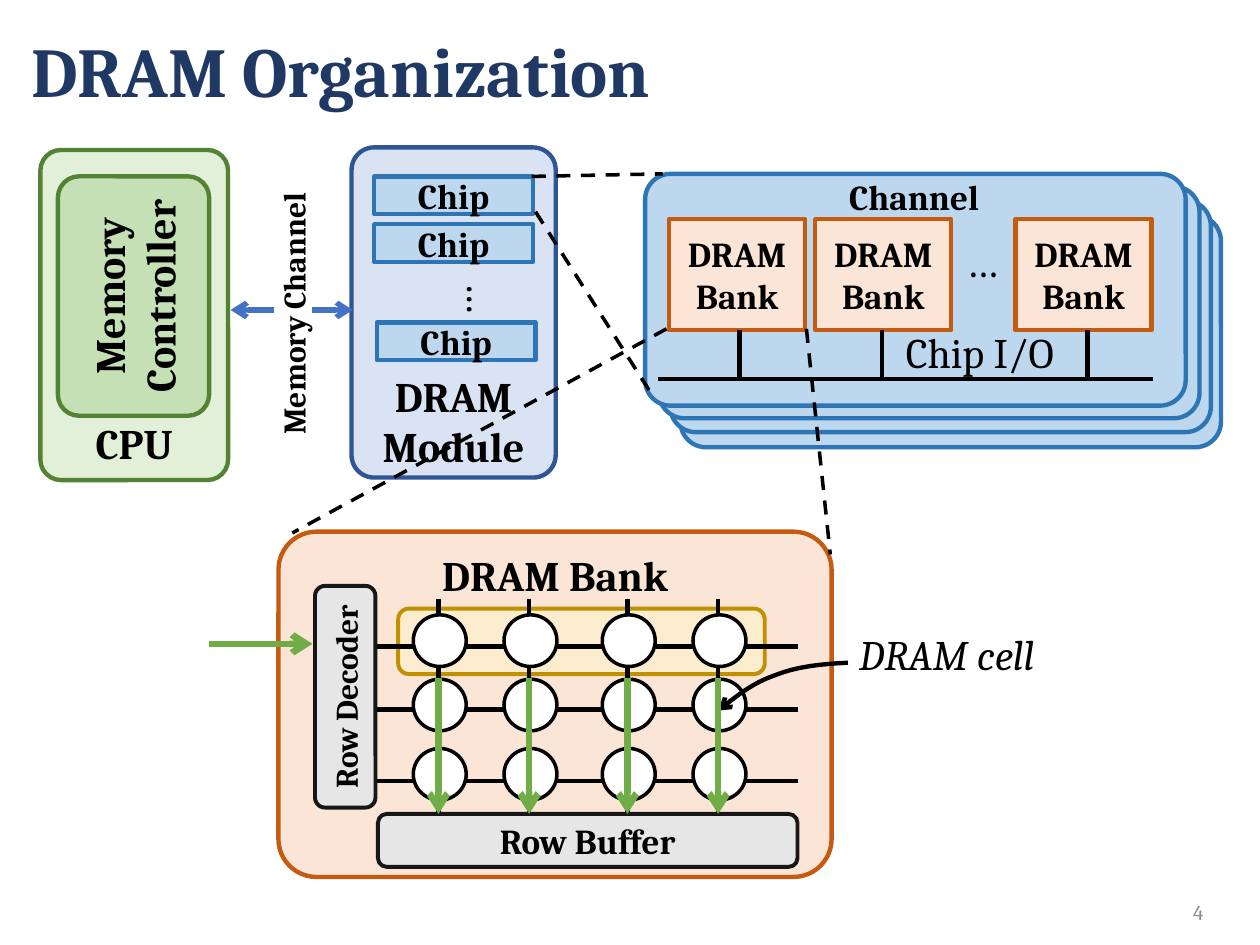
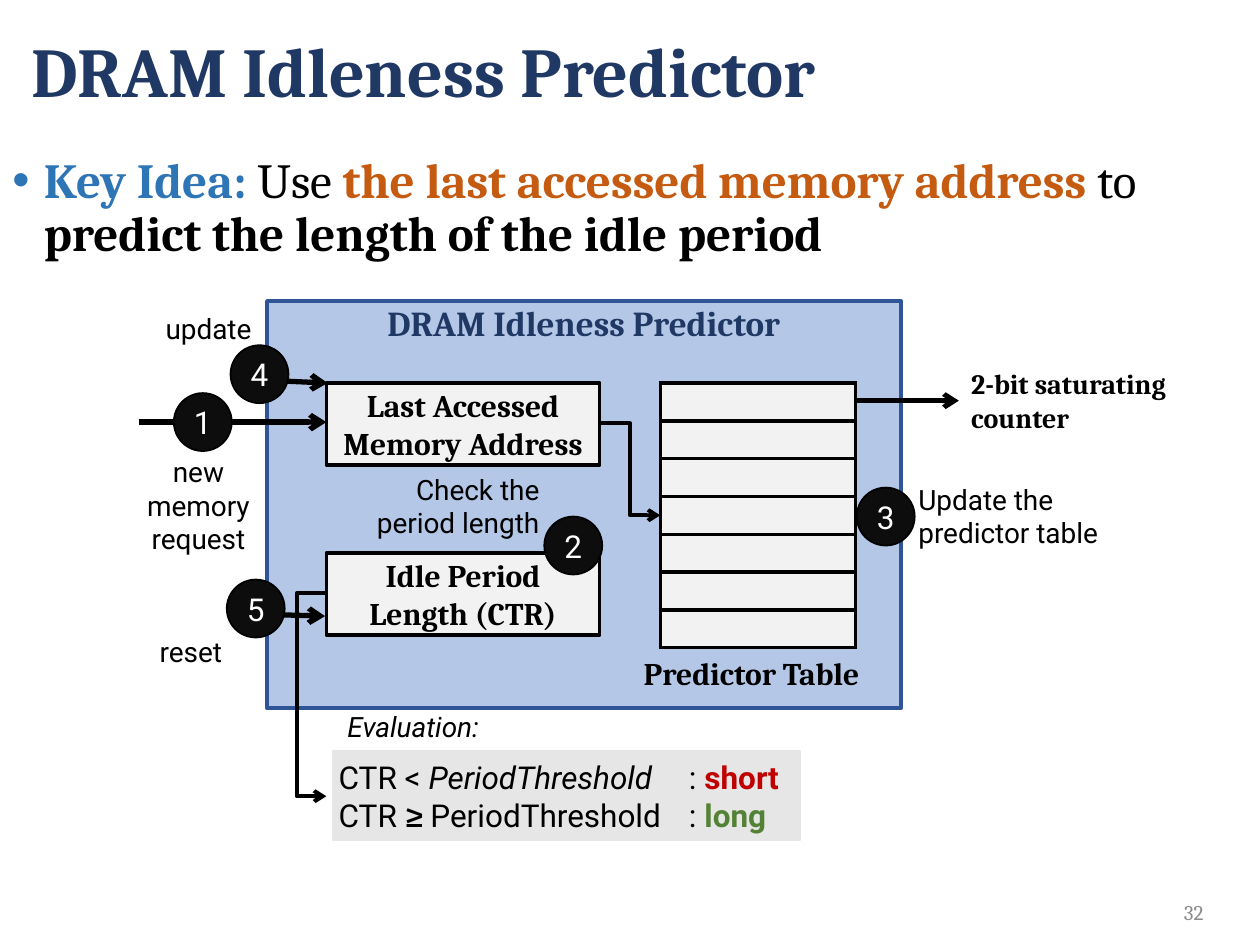
"""Build two slides on how DRAM is organized and how its idleness is predicted."""
from lxml.etree import SubElement
from pptx import Presentation
from pptx.dml.color import RGBColor
from pptx.enum.dml import MSO_LINE
from pptx.enum.shapes import MSO_CONNECTOR, MSO_SHAPE
from pptx.enum.text import MSO_ANCHOR, PP_ALIGN
from pptx.oxml.ns import qn
from pptx.util import Inches, Pt


class Theme:
    serif, sans = "Cambria", "Roboto"
    black, white, navy, gray = "000000", "FFFFFF", "203864", "8C8C8C"
    mint, leaf, green, arrow = "E2F0D9", "C5E0B4", "548235", "70AD47"
    pale, sky, mid, cobalt = "DAE3F3", "BDD7EE", "2E75B6", "2F5597"
    link, peach, rust, cream = "4472C4", "FBE5D6", "C55A11", "FFF2CC"
    gold, ash, coal, steel = "BF9000", "E7E6E6", "181717", "B4C7E7"
    cell, dot, red = "F2F2F2", "0D0D0D", "C00000"
    title, lead, big, mid_size, text, note, foot = 40, 28, 24, 20, 18, 16, 12


RECT, ROUND, OVAL = MSO_SHAPE.RECTANGLE, MSO_SHAPE.ROUNDED_RECTANGLE, MSO_SHAPE.OVAL
TOP, MID, LOW = MSO_ANCHOR.TOP, MSO_ANCHOR.MIDDLE, MSO_ANCHOR.BOTTOM
LEFT, MIDST, RIGHT = PP_ALIGN.LEFT, PP_ALIGN.CENTER, PP_ALIGN.RIGHT


def put(page, kind, at, words="", fill=None, edge=None, width=2.5, anchor=TOP,
        align=MIDST, turn=None, pad=(0.1, 0.05, 0.1, 0.05), round=None, **font):
    box = [Inches(v) for v in at]
    shape = page.shapes.add_shape(kind, *box) if kind else page.shapes.add_textbox(*box)
    shape.shadow.inherit = False
    if round is not None:
        shape.adjustments[0] = round
    for part, hue in ((shape.fill, fill), (shape.line.fill, edge)):
        if hue:
            part.solid()
            part.fore_color.rgb = RGBColor.from_string(hue)
        else:
            part.background()
    if edge:
        shape.line.width = Pt(width)
    frame = shape.text_frame
    sides = ("margin_left", "margin_top", "margin_right", "margin_bottom")
    form = {"word_wrap": True, "vertical_anchor": anchor, **dict(zip(sides, map(Inches, pad)))}
    for key, val in form.items():
        setattr(frame, key, val)
    if turn:
        frame._txBody.bodyPr.set("vert", turn)
    base = {"name": Theme.serif, "size": Theme.text, "bold": False, "color": Theme.black, **font}
    lines = [[(t, {})] for t in words.split("\n")] if isinstance(words, str) else words
    for n, line in enumerate(lines):
        para = frame.add_paragraph() if n else frame.paragraphs[0]
        para.alignment = align
        for text, extra in line:
            if not text:
                continue
            run = para.add_run()
            run.text = text
            for key, val in {**base, **extra}.items():
                if key == "color":
                    run.font.color.rgb = RGBColor.from_string(val)
                else:
                    setattr(run.font, key, Pt(val) if key == "size" else val)
    return shape


def join(page, spots, hue=Theme.black, width=2.5, dash=None, tips=(), bend=None):
    spots = [(Inches(x), Inches(y)) for x, y in spots]
    if len(spots) > 2:
        pen = page.shapes.build_freeform(*spots[0])
        pen.add_line_segments(spots[1:], close=False)
        wire = pen.convert_to_shape()
        wire.fill.background()
        wire.shadow.inherit = False
    else:
        kind = MSO_CONNECTOR.ELBOW if bend else MSO_CONNECTOR.STRAIGHT
        wire = page.shapes.add_connector(kind, *spots[0], *spots[1])
        props = wire._element.spPr
        if bend:
            geom = props.find(qn("a:prstGeom"))
            guides = geom.find(qn("a:avLst"))
            if guides is None:
                guides = SubElement(geom, qn("a:avLst"))
            SubElement(guides, qn("a:gd"), name="adj1", fmla=f"val {int(bend * 100000)}")
    look = {"width": Pt(width), "dash_style": dash}
    wire.line.color.rgb = RGBColor.from_string(hue)
    for key, val in look.items():
        setattr(wire.line, key, val)
    for tip in tips:
        SubElement(wire.line._get_or_add_ln(), qn(f"a:{tip}End"), type="arrow")
    if len(spots) == 2:
        SubElement(props, qn("a:effectLst"))


deck = Presentation()
deck.slide_width, deck.slide_height = Inches(10), Inches(7.5)
pages = []
for name, count in (("DRAM Organization", "4"), ("DRAM Idleness Predictor", "32")):
    page = deck.slides.add_slide(deck.slide_layouts[6])
    pages.append(page)
    if count == "32":
        put(page, RECT, (2.64, 5.96, 3.71, 0.71), fill=Theme.ash, edge=Theme.ash, width=1)
    head = put(page, None, (0.15, 0, 9.73, 1.19), name, anchor=MID, align=LEFT,
               size=Theme.title, color=Theme.navy, bold=True)
    head.text_frame.paragraphs[0].line_spacing = 0.9
    put(page, None, (9.18, 7.13, 0.47, 0.22), count, anchor=MID, align=RIGHT,
        size=Theme.foot, color=Theme.gray)
plan, guess = pages

large = {"size": Theme.big, "bold": True}
label = {"size": Theme.mid_size, "bold": True}
small = {"size": Theme.text, "bold": True}
chip = {"fill": Theme.sky, "edge": Theme.mid}
bank = {"fill": Theme.peach, "edge": Theme.rust}
tray = {"fill": Theme.ash, "edge": Theme.coal, "width": 2.25, "anchor": MID}

put(plan, ROUND, (0.32, 1.19, 1.49, 2.62), "CPU", Theme.mint, Theme.green,
    anchor=LOW, round=0.11, **large)
put(plan, ROUND, (0.46, 1.4, 1.2, 1.9), "Memory Controller", Theme.leaf, Theme.green,
    anchor=MID, turn="vert270", round=0.14, **large)
put(plan, ROUND, (2.79, 1.17, 1.62, 2.62), "DRAM\nModule", Theme.pale, Theme.cobalt,
    anchor=LOW, pad=(0.12, 0, 0.12, 0), round=0.11, **large)
put(plan, None, (3.48, 2.08, 0.61, 0.57), "…", turn="vert", size=Theme.big)
join(plan, [(1.83, 2.46), (2.8, 2.46)], Theme.link, 3, tips=("head", "tail"))
lane = put(plan, RECT, (1.18, 2.34, 2.29, 0.3), "Memory Channel", Theme.white,
           pad=(0.1, 0, 0.1, 0), **small)
lane.rotation = 270
for x, y in ((2.97, 1.4), (2.97, 1.78), (2.99, 2.56)):
    put(plan, RECT, (x, y, 1.26, 0.3), "Chip", anchor=MID, **chip, **label)

for x, y in ((5.4, 1.71), (5.32, 1.59), (5.23, 1.48), (5.12, 1.38)):
    put(plan, ROUND, (x, y, 4.29, 1.84), round=0.11, **chip)
for x in (5.31, 6.47, 8.06):
    put(plan, RECT, (x, 1.74, 1.08, 0.88), "DRAM Bank", anchor=MID, **bank, **label)
put(plan, None, (7.49, 1.82, 0.61, 0.5), "…", size=Theme.big)
join(plan, [(5.22, 3.01), (9.15, 3.01)])
for x in (5.87, 7, 8.63):
    join(plan, [(x, 2.62), (x, 3.01)])
put(plan, None, (6.11, 1.39, 2.29, 0.34), "Channel", pad=(0.1, 0, 0.1, 0), **label)

put(plan, ROUND, (2.21, 4.22, 4.39, 2.74), "DRAM Bank", round=0.11, **bank, **large)
row = put(plan, ROUND, (3.16, 4.83, 2.91, 0.52), fill=Theme.cream, edge=Theme.gold, width=2.25)
tint = row._element.spPr.find(qn("a:solidFill"))[0]
SubElement(tint, qn("a:alpha"), val="65000")
cols = (3.48, 4.2, 4.98, 5.7)
for y in (5.13, 5.63, 6.2):
    join(plan, [(2.91, y), (6.33, y)])
for x in cols:
    join(plan, [(x, 4.75), (x, 6.48)])
for y in (4.88, 5.39, 5.94):
    for x in cols:
        put(plan, OVAL, (x - 0.2, y, 0.42, 0.41), fill=Theme.white, edge=Theme.black, width=2)
put(plan, ROUND, (2.5, 4.65, 0.48, 1.76), "Row Decoder", turn="vert270", **tray, **small)
put(plan, ROUND, (3, 6.46, 3.33, 0.42), "Row Buffer", **tray, **label)
for ends in ([(4.22, 1.4), (5.26, 1.38)], [(4.25, 1.68), (5.16, 3.11)],
             [(5.29, 2.61), (2.32, 4.23)], [(6.4, 2.61), (6.59, 4.4)]):
    join(plan, ends, width=2, dash=MSO_LINE.DASH)

put(plan, None, (6.72, 4.94, 2.31, 0.5), "DRAM cell", align=LEFT, size=Theme.big, italic=True)
curve = [(5.7, 5.64)]
for a, b, c, d in (((5.7, 5.64), (5.84, 5.53), (5.97, 5.42), (6.15, 5.36)),
                   ((6.15, 5.36), (6.32, 5.29), (6.52, 5.27), (6.73, 5.26))):
    for step in range(1, 9):
        t = step / 8
        mix = ((1 - t) ** 3, 3 * t * (1 - t) ** 2, 3 * t * t * (1 - t), t ** 3)
        curve.append(tuple(sum(m * p[i] for m, p in zip(mix, (a, b, c, d))) for i in (0, 1)))
join(plan, curve, tips=("head",))
put(plan, None, (7.09, 2.54, 1.49, 0.5), "Chip I/O", align=LEFT, size=Theme.big)
for ends in [[(1.66, 5.11), (2.48, 5.11)]] + [[(x, 5.38), (x, 6.46)] for x in cols]:
    join(plan, ends, Theme.arrow, 3.75, tips=("tail",))

put(guess, RECT, (2.12, 2.39, 5.03, 3.23), "DRAM Idleness Predictor", Theme.steel, Theme.cobalt,
    2.25, pad=(0.1, 0, 0.1, 0.05), color=Theme.navy, **label)
put(guess, None, (5.01, 5.14, 1.98, 0.4), "Predictor Table", align=LEFT, **small)
put(guess, None, (7.61, 2.86, 1.92, 0.64), "2-bit saturating counter", align=LEFT,
    size=Theme.note, bold=True)
for y, name in ((3.04, "Last Accessed Memory Address"), (4.39, "Idle Period Length (CTR)")):
    put(guess, RECT, (2.59, y, 2.17, 0.65), name, Theme.cell, Theme.black, 2, MID, **small)

for ends, width in (([(6.68, 3.18), (7.61, 3.18)], 2.75), ([(1.1, 3.35), (2.59, 3.35)], 3),
                    ([(1.93, 3.01), (2.6, 3.04)], 3), ([(1.9, 4.87), (2.58, 4.89)], 3)):
    join(guess, ends, width=width, tips=("tail",))
join(guess, [(2.6, 4.71), (2.59, 6.32)], width=2.25, tips=("tail",), bend=25)
join(guess, [(4.76, 3.36), (5.24, 4.09)], width=2.25, tips=("tail",), bend=0.5)

grid = guess.shapes.add_table(7, 1, *map(Inches, (5.24, 3.04, 1.55, 2.1))).table
grid.first_row = grid.horz_banding = False
for line in grid.rows:
    line.height = Inches(0.3)
    cell = line.cells[0]
    for side in ("left", "top", "right", "bottom"):
        setattr(cell, f"margin_{side}", 0)
    SubElement(cell.text_frame.paragraphs[0]._p, qn("a:endParaRPr"), sz="1000")
    props = cell._tc.get_or_add_tcPr()
    for side in "LRTB":
        rule = SubElement(props, qn(f"a:ln{side}"), w=str(Pt(2.25)))
        SubElement(SubElement(rule, qn("a:solidFill")), qn("a:srgbClr"), val=Theme.black)
    cell.fill.solid()
    cell.fill.fore_color.rgb = RGBColor.from_string(Theme.cell)

steps = ((1.38, 3.12), (4.32, 4.1), (6.8, 3.87), (1.83, 2.74), (1.8, 4.6))
for n, (x, y) in enumerate(steps, 1):
    put(guess, OVAL, (x, y, 0.46, 0.46), str(n), Theme.dot, Theme.black, 1, MID,
        pad=(0, 0, 0, 0), name=Theme.sans, color=Theme.white)
for at, words, align, slant in (
        ((0.92, 3.56, 1.31, 0.91), "new memory request", MIDST, False),
        ((2.72, 3.7, 1.66, 0.64), "Check the period length", RIGHT, False),
        ((2.66, 5.58, 2.04, 0.37), "Evaluation:", LEFT, True),
        ((1, 2.42, 1.31, 0.37), "update", MIDST, False),
        ((0.86, 4.99, 1.31, 0.37), "reset", MIDST, False),
        ((7.19, 3.78, 1.91, 0.64), "Update the predictor table", LEFT, False)):
    put(guess, None, at, words, align=align, name=Theme.sans, size=Theme.note, italic=slant)

tests = put(guess, None, (2.59, 5.97, 3.77, 0.71), [
    [("CTR < ", {}), ("PeriodThreshold", {"italic": True}), ("\t: ", {}),
     ("short", {"color": Theme.red, "bold": True})],
    [("CTR ", {}), ("≥ ", {"name": Theme.serif, "bold": True}), ("PeriodThreshold\t: ", {}),
     ("long", {"color": Theme.green, "bold": True})]], align=LEFT, name=Theme.sans)
for para in tests.text_frame.paragraphs:
    tabs = SubElement(para._p.get_or_add_pPr(), qn("a:tabLst"))
    SubElement(tabs, qn("a:tab"), pos=str(Inches(2.78)), algn="l")

idea = put(guess, None, (0, 1.19, 10, 1.1), [[
    ("Key Idea: ", {"color": Theme.mid, "bold": True}), ("Use ", {}),
    ("the last accessed memory address ", {"color": Theme.rust, "bold": True}), ("to ", {}),
    ("predict the length of the idle period", {"bold": True})]], align=LEFT, size=Theme.lead)
para = idea.text_frame.paragraphs[0]
props = para._p.get_or_add_pPr()
for key, val in {"marL": 0.25, "indent": -0.25}.items():
    props.set(key, str(Inches(val)))
SubElement(props, qn("a:buFont"), typeface="Arial")
SubElement(props, qn("a:buChar"), char="•")
para.line_spacing = 0.9

deck.save("out.pptx")
